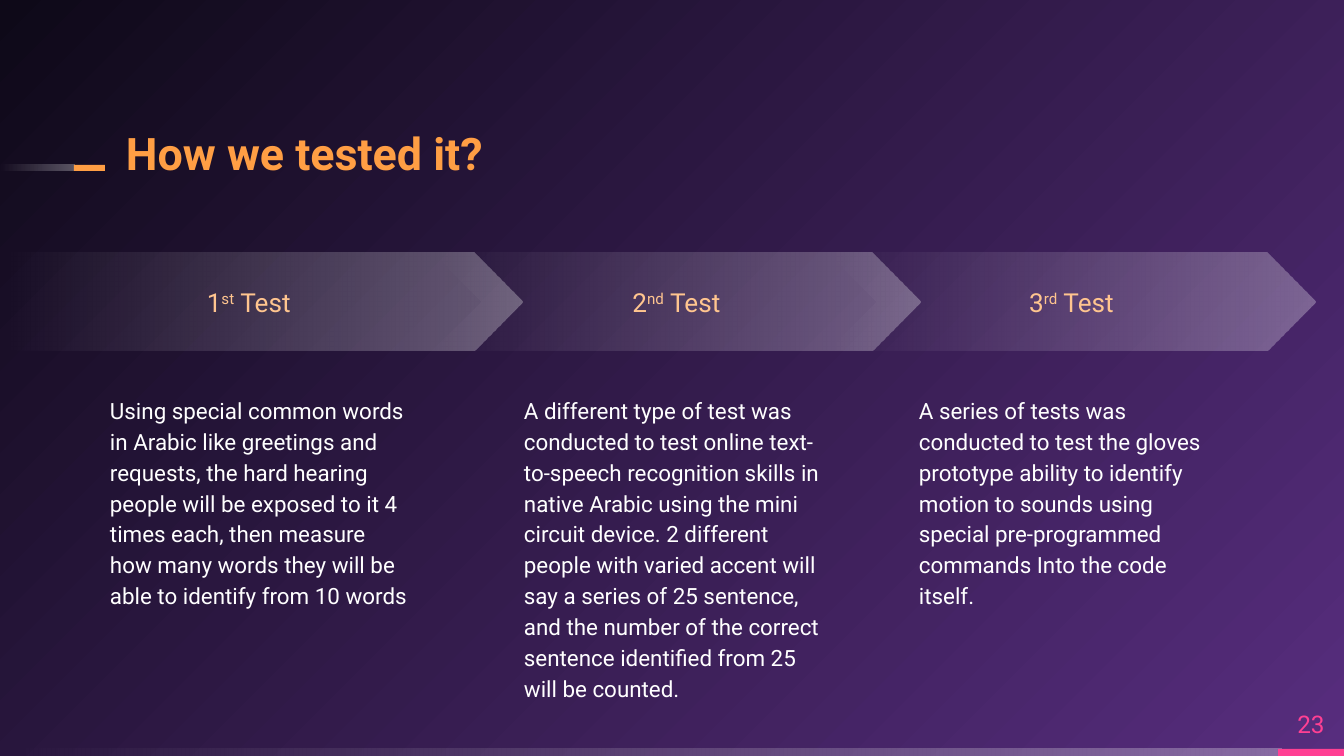
"""Build the slide that explains the three tests as a row of arrows."""
from dataclasses import dataclass

from pptx import Presentation
from pptx import util as u
from pptx.dml.color import RGBColor
from pptx.enum import shapes, text
from pptx.oxml import ns, xmlchemy

EMU_PER_PX = 914400 / 134.4


@dataclass(frozen=True)
class Theme:
    """Colours, font and type sizes."""
    font: str = "Roboto"
    glow: str = "572D7E"
    night: str = "0E0918"
    white: str = "FFFFFF"
    orange: str = "FF9E44"
    peach: str = "FFC58F"
    pink: str = "FF4093"
    title_size: int = 24
    label_size: int = 14
    number_size: int = 13
    body_size: int = 12


@dataclass(frozen=True)
class Box:
    """A rectangle in whole px."""
    left: int
    top: int
    width: int
    height: int

    def emu(self) -> list[int]:
        """Return left, top, width and height in EMU."""
        return [px(v) for v in (self.left, self.top, self.width, self.height)]


@dataclass(frozen=True)
class Test:
    """One step: its arrow, ordinal and description."""
    outline: shapes.MSO_SHAPE
    arrow: Box
    body: Box
    number: str
    suffix: str
    description: str


THEME = Theme()
STEP = 395
TESTS = [
    Test(shapes.MSO_SHAPE.PENTAGON, Box(0, 253, 522, 98), Box(97, 380, 329, 265), "1", "st",
         "Using special common words in Arabic like greetings and requests, the hard hearing "
         "people will be exposed to it 4 times each, then measure how many words they will be "
         "able to identify from 10 words"),
    Test(shapes.MSO_SHAPE.CHEVRON, Box(433, 253, 487, 98), Box(511, 380, 329, 265), "2", "nd",
         "A different type of test was conducted to test online text-to-speech recognition "
         "skills in native Arabic using the mini circuit device. 2 different people with varied "
         "accent will say a series of 25 sentence, and the number of the correct sentence "
         "identified from 25 will be counted."),
    Test(shapes.MSO_SHAPE.CHEVRON, Box(433 + STEP, 253, 487, 98), Box(511 + STEP, 380, 329, 265),
         "3", "rd",
         "A series of tests was conducted to test the gloves prototype ability to identify "
         "motion to sounds using special pre-programmed commands Into the code itself."),
]


def px(value: int) -> int:
    """Turn px into EMU."""
    return round(value * EMU_PER_PX)


def add_child(parent, tag: str, **attributes):
    """Append a drawing element with the given attributes."""
    child = xmlchemy.OxmlElement(tag)
    for name, value in attributes.items():
        child.set(name, str(value))
    parent.append(child)
    return child


def paint_background(slide) -> None:
    """Fill the page with a glow from the bottom right corner."""
    fill = slide.background.fill
    fill.gradient()
    for stop, colour in zip(fill.gradient_stops, (THEME.glow, THEME.night)):
        stop.color.rgb = RGBColor.from_string(colour)
    gradient = slide._element.find(".//" + ns.qn("a:gradFill"))
    gradient.remove(gradient.find(ns.qn("a:lin")))
    circle = add_child(gradient, "a:path", path="circle")
    add_child(circle, "a:fillToRect", l=100000, t=100000)


def paint_fade(shape) -> None:
    """Fill a shape with white that fades out to the left."""
    shape.fill.gradient()
    shape.fill.gradient_angle = 180
    for stop in shape.fill.gradient_stops:
        stop.color.rgb = RGBColor.from_string(THEME.white)
    colours = shape._element.spPr.iter(ns.qn("a:srgbClr"))
    for colour, alpha in zip(colours, (30000, 0)):
        add_child(colour, "a:alpha", val=alpha)


def add_panel(slide, outline: shapes.MSO_SHAPE, box: Box, colour: str | None = None):
    """Draw a borderless shape, solid or fading."""
    shape = slide.shapes.add_shape(outline, *box.emu())
    shape.shadow.inherit = False
    shape.line.fill.background()
    if colour:
        shape.fill.solid()
        shape.fill.fore_color.rgb = RGBColor.from_string(colour)
    else:
        paint_fade(shape)
    return shape


def write(shape, *pieces: str, size: int, colour: str, bold: bool = False,
          align=text.PP_ALIGN.LEFT, anchor=text.MSO_ANCHOR.TOP, inset: int = 0,
          spacing: float = 1.0) -> None:
    """Write one paragraph, raising every second piece as superscript."""
    frame = shape.text_frame
    frame.word_wrap = True
    frame.auto_size = text.MSO_AUTO_SIZE.NONE
    frame.vertical_anchor = anchor
    frame.margin_left = frame.margin_right = px(inset)
    frame.margin_top = frame.margin_bottom = px(inset)
    para = frame.paragraphs[0]
    para.alignment = align
    para.line_spacing = spacing
    para.space_before = u.Pt(0)
    for index, piece in enumerate(pieces):
        span = para.add_run()
        span.text = piece
        span.font.name = THEME.font
        span.font.size = u.Pt(size)
        span.font.bold = bold
        span.font.color.rgb = RGBColor.from_string(colour)
        if index % 2:
            span.font._element.set("baseline", "30000")


def add_test(slide, test: Test) -> None:
    """Draw the arrow and the description of one test."""
    arrow = add_panel(slide, test.outline, test.arrow)
    arrow.adjustments[0] = 0.5
    write(arrow, test.number, test.suffix, " Test", size=THEME.label_size, colour=THEME.peach,
          align=text.PP_ALIGN.CENTER, anchor=text.MSO_ANCHOR.MIDDLE, inset=13)
    body = slide.shapes.add_textbox(*test.body.emu())
    write(body, test.description, size=THEME.body_size, colour=THEME.white, inset=13,
          spacing=1.15)


def main() -> None:
    """Build and save the deck."""
    deck = Presentation()
    deck.slide_width, deck.slide_height = px(1344), px(756)
    page = deck.slides.add_slide(deck.slide_layouts[5])
    paint_background(page)

    bar = shapes.MSO_SHAPE.RECTANGLE
    add_panel(page, bar, Box(0, 749, 1282, 7))
    add_panel(page, bar, Box(1278, 749, 66, 7), THEME.pink)
    add_panel(page, bar, Box(0, 165, 75, 6))
    add_panel(page, bar, Box(74, 165, 31, 6), THEME.orange)

    title = page.shapes.title
    title.left, title.top, title.width, title.height = Box(126, 122, 780, 58).emu()
    write(title, "How we tested it?", size=THEME.title_size, colour=THEME.orange, bold=True,
          anchor=text.MSO_ANCHOR.BOTTOM, spacing=0.9)

    number = page.shapes.add_textbox(*Box(1278, 698, 66, 51).emu())
    write(number, "23", size=THEME.number_size, colour=THEME.pink,
          align=text.PP_ALIGN.CENTER, anchor=text.MSO_ANCHOR.MIDDLE)

    for test in TESTS:
        add_test(page, test)
    deck.save("out.pptx")


if __name__ == "__main__":
    main()
